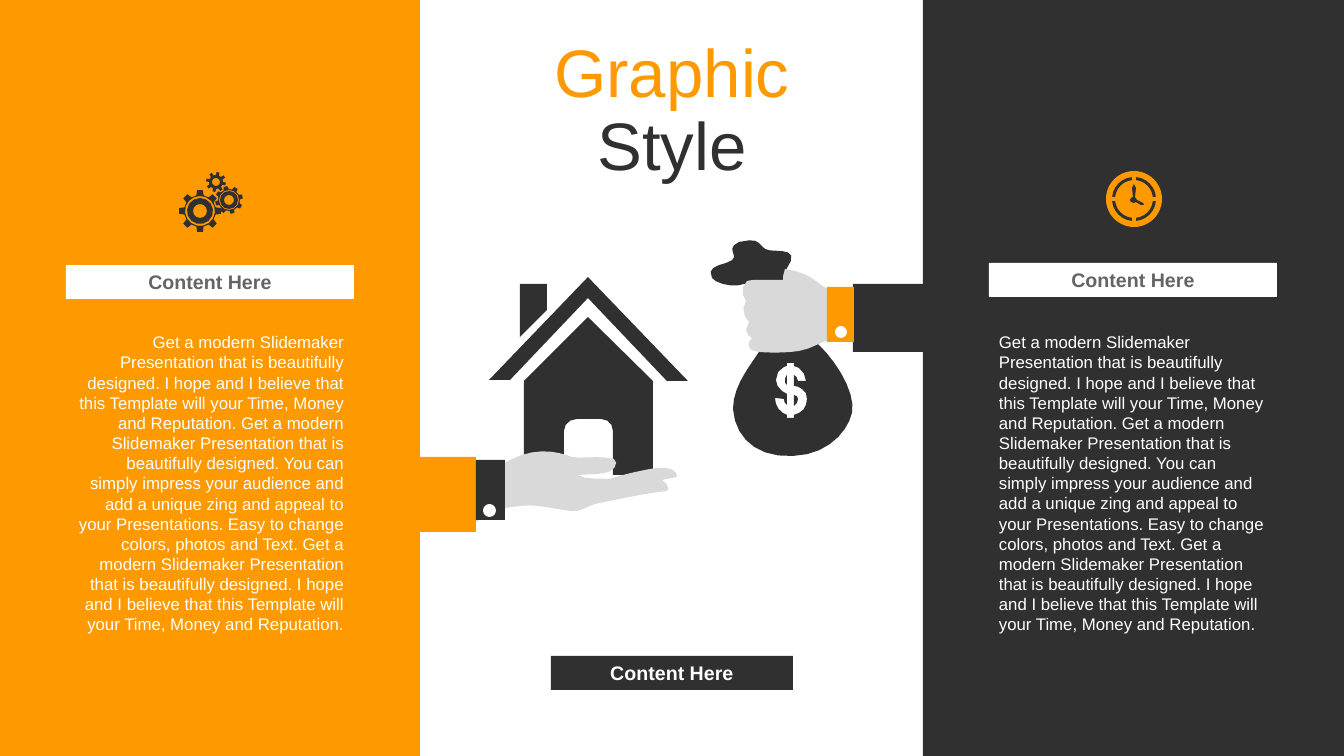
from math import ceil, cos, dist, radians, sin

from pptx import Presentation
from pptx.dml.color import RGBColor
from pptx.enum.shapes import MSO_SHAPE
from pptx.enum.text import MSO_ANCHOR, PP_ALIGN
from pptx.util import Pt

RECT, OVAL = MSO_SHAPE.RECTANGLE, MSO_SHAPE.OVAL
TOP, MIDDLE = MSO_ANCHOR.TOP, MSO_ANCHOR.MIDDLE
LEFT, CENTER, RIGHT = PP_ALIGN.LEFT, PP_ALIGN.CENTER, PP_ALIGN.RIGHT

EMU_PER_PX = 914400 / 100.8
FONT = "Arial"
ORANGE, DARK, WHITE = "FE9900", "303030", "FFFFFF"
SKIN, GREY = "D9D9D9", "646464"
CURVE_STEP, MAX_STEPS = 9, 7

HEADING = "Content Here"
PITCH = "Get a modern Slidemaker Presentation that is beautifully designed."
HOPE = "I hope and I believe that this Template will your Time, Money and Reputation."
IMPRESS = ("You can simply impress your audience and add a unique zing and appeal "
           "to your Presentations. Easy to change colors, photos and Text.")
BODY = " ".join([PITCH, HOPE, PITCH, IMPRESS, PITCH, HOPE])

HOUSE = """
M 588 317 L 653 381 L 653 475 L 613 475 L 613 431 C 613 424 608 419 601 419
L 577 419 C 570 419 564 424 564 431 L 564 475 L 524 475 L 524 381
M 520 284 L 547 284 L 547 310 L 520 337
M 588 277 L 688 381 L 667 381 L 588 298 L 510 380 L 489 380"""
MONEY_BAG = """
M 759 352 C 779 352 797 347 818 344 C 838 363 856 394 852 413
C 848 431 828 455 793 456 C 756 458 735 437 733 409 C 733 386 750 366 759 352
M 787 363 L 787 366 L 784 367 C 779 370 776 373 776 380
C 776 384 778 388 782 391 L 787 394 L 787 405
C 785 404 784 402 784 399 L 775 398 C 775 404 778 410 783 413
L 787 415 L 787 418 L 794 418 L 794 415
L 799 413 C 804 411 807 405 807 399
C 807 395 806 391 802 389 C 799 387 797 386 794 386 L 794 375
C 796 376 798 378 798 381 L 806 381 C 806 376 803 371 799 368
L 794 366 L 794 363
M 794 395 C 797 396 798 397 798 399 C 798 402 797 404 794 406
M 787 375 L 787 385 C 785 384 785 382 785 380 C 785 378 786 376 787 375"""
BAG_TOP = """
M 739 242 C 760 237 758 244 765 249 C 773 254 804 244 786 270
C 785 280 784 274 784 281 C 777 280 757 281 744 284
C 735 288 716 284 712 278 C 707 268 716 266 726 263
C 745 257 722 250 739 242"""
FIST = """
M 752 338 C 749 336 742 332 749 322 C 744 319 741 306 746 301
C 742 295 740 288 747 281 L 753 280 L 783 280
C 783 276 783 276 785 269 C 810 273 813 280 827 289 L 827 341
C 822 341 812 349 799 351 C 787 353 769 353 759 352
C 746 352 747 342 752 338"""
PALM = """
M 453 488 C 455 503 461 531 471 525 C 494 511 499 508 520 506
C 539 503 563 512 577 511 C 581 510 590 506 595 504
C 620 499 640 494 667 491 C 671 490 667 483 662 480 L 677 477
C 678 468 664 466 650 469 C 635 472 625 474 610 479
C 599 478 585 480 578 475 C 587 474 597 475 604 473
C 613 473 620 463 614 459 C 600 455 580 459 572 457
C 559 452 537 446 510 460 C 492 470 477 477 453 488"""
CLOCK_HANDS = """
M 1134 184 L 1132 188 L 1133 197 L 1131 198 L 1130 200
L 1131 202 L 1134 203 L 1136 202 L 1141 205 L 1144 205
L 1143 203 L 1137 200 L 1135 197 L 1136 188"""


def px(length):
    return round(length * EMU_PER_PX)


def color(hex_value):
    return RGBColor.from_string(hex_value)


def bezier(p0, p1, p2, p3):
    length = dist(p0, p1) + dist(p1, p2) + dist(p2, p3)
    steps = min(MAX_STEPS, max(2, ceil(length / CURVE_STEP)))
    points = []
    for step in range(1, steps + 1):
        t = step / steps
        weights = ((1 - t) ** 3, 3 * t * (1 - t) ** 2, 3 * t * t * (1 - t), t ** 3)
        points.append(tuple(sum(w * p[axis] for w, p in zip(weights, (p0, p1, p2, p3)))
                            for axis in (0, 1)))
    return points


def contours_of(outline):
    contours = []
    tokens = iter(outline.split())
    for command in tokens:
        pairs = [(int(next(tokens)), int(next(tokens)))
                 for _ in range(3 if command == "C" else 1)]
        if command == "M":
            contours.append(pairs)
        elif command == "L":
            contours[-1] += pairs
        else:
            contours[-1] += bezier(contours[-1][-1], *pairs)
    return contours


def polar(center, radius, degrees):
    angle = radians(degrees)
    return center[0] + radius * sin(angle), center[1] - radius * cos(angle)


def circle(center, radius):
    count = max(12, radius)
    return [polar(center, radius, 360 * corner / count) for corner in range(count)]


def gear(center, tip, root, rings, turn):
    teeth = [polar(center, radius, turn + tooth * 45 + offset)
             for tooth in range(8)
             for radius, offset in ((root, -13), (tip, -8), (tip, 8), (root, 13))]
    return [teeth] + [circle(center, ring) for ring in rings]


def clock_face(center):
    sectors = []
    for quarter in range(0, 360, 90):
        arc = range(quarter + 6, quarter + 85, 13)
        sectors.append([polar(center, 22, d) for d in arc]
                       + [polar(center, 19, d) for d in reversed(arc)])
    return sectors + contours_of(CLOCK_HANDS)


def paint(shape, fill):
    shape.shadow.inherit = False
    shape.fill.solid()
    shape.fill.fore_color.rgb = color(fill)
    shape.line.fill.background()
    return shape


def add_outline(slide, contours, fill):
    scaled = [[(px(x), px(y)) for x, y in contour] for contour in contours]
    builder = slide.shapes.build_freeform(*scaled[0][0])
    builder.add_line_segments(scaled[0][1:])
    for contour in scaled[1:]:
        builder.move_to(*contour[0])
        builder.add_line_segments(contour[1:])
    paint(builder.convert_to_shape(), fill)


def add_block(slide, kind, box, fill):
    return paint(slide.shapes.add_shape(kind, *map(px, box)), fill)


def format_run(run, size, ink, bold=False):
    run.font.name = FONT
    run.font.size = Pt(size)
    run.font.bold = bold
    run.font.color.rgb = color(ink)


def add_heading(slide, box, fill, ink):
    frame = add_block(slide, RECT, box, fill).text_frame
    frame.vertical_anchor = MIDDLE
    frame.text = HEADING
    frame.paragraphs[0].alignment = CENTER
    format_run(frame.paragraphs[0].runs[0], 14, ink, True)


def add_text(slide, box, pieces, size, alignment, anchor=TOP):
    frame = slide.shapes.add_textbox(*map(px, box)).text_frame
    frame.word_wrap = True
    frame.vertical_anchor = anchor
    paragraph = frame.paragraphs[0]
    paragraph.alignment = alignment
    for words, ink in pieces:
        run = paragraph.add_run()
        run.text = words
        format_run(run, size, ink)
    return paragraph


def add_arm(slide, sleeve, sleeve_fill, cuff, cuff_fill, button):
    add_block(slide, RECT, sleeve, sleeve_fill)
    add_block(slide, RECT, cuff, cuff_fill)
    add_block(slide, OVAL, button, WHITE)


def main():
    deck = Presentation()
    deck.slide_width, deck.slide_height = px(1344), px(756)
    slide = deck.slides.add_slide(deck.slide_layouts[6])

    add_outline(slide, contours_of(HOUSE), DARK)
    title = add_text(slide, (493, 30, 358, 165),
                     [("Graphic ", ORANGE), ("Style", DARK)], 48, CENTER, MIDDLE)
    title.line_spacing = 0.9
    add_block(slide, RECT, (923, 0, 421, 756), DARK)
    add_block(slide, RECT, (0, 0, 420, 756), ORANGE)

    for outline, fill in ((MONEY_BAG, DARK), (BAG_TOP, DARK), (FIST, SKIN)):
        add_outline(slide, contours_of(outline), fill)
    add_arm(slide, (853, 284, 116, 68), DARK, (827, 287, 27, 55), ORANGE,
            (835, 326, 12, 12))
    add_outline(slide, contours_of(PALM), SKIN)
    add_arm(slide, (355, 457, 121, 75), ORANGE, (476, 460, 29, 60), DARK,
            (483, 504, 13, 13))

    add_heading(slide, (989, 263, 288, 34), WHITE, GREY)
    add_heading(slide, (66, 265, 288, 34), WHITE, GREY)
    gears = (gear((200, 211), 21, 16, (15, 13, 7), 0)
             + gear((229, 200), 14, 11, (10, 9, 5), -15)
             + gear((216, 182), 10, 7, (4,), 12))
    add_outline(slide, gears, DARK)
    add_block(slide, OVAL, (1106, 171, 56, 56), ORANGE)
    add_outline(slide, clock_face((1134, 199)), DARK)
    add_text(slide, (989, 327, 288, 315), [(BODY, WHITE)], 12, LEFT)
    add_text(slide, (66, 327, 288, 336), [(BODY, WHITE)], 12, RIGHT)
    add_heading(slide, (551, 656, 242, 34), DARK, WHITE)

    deck.save("out.pptx")


if __name__ == "__main__":
    main()
